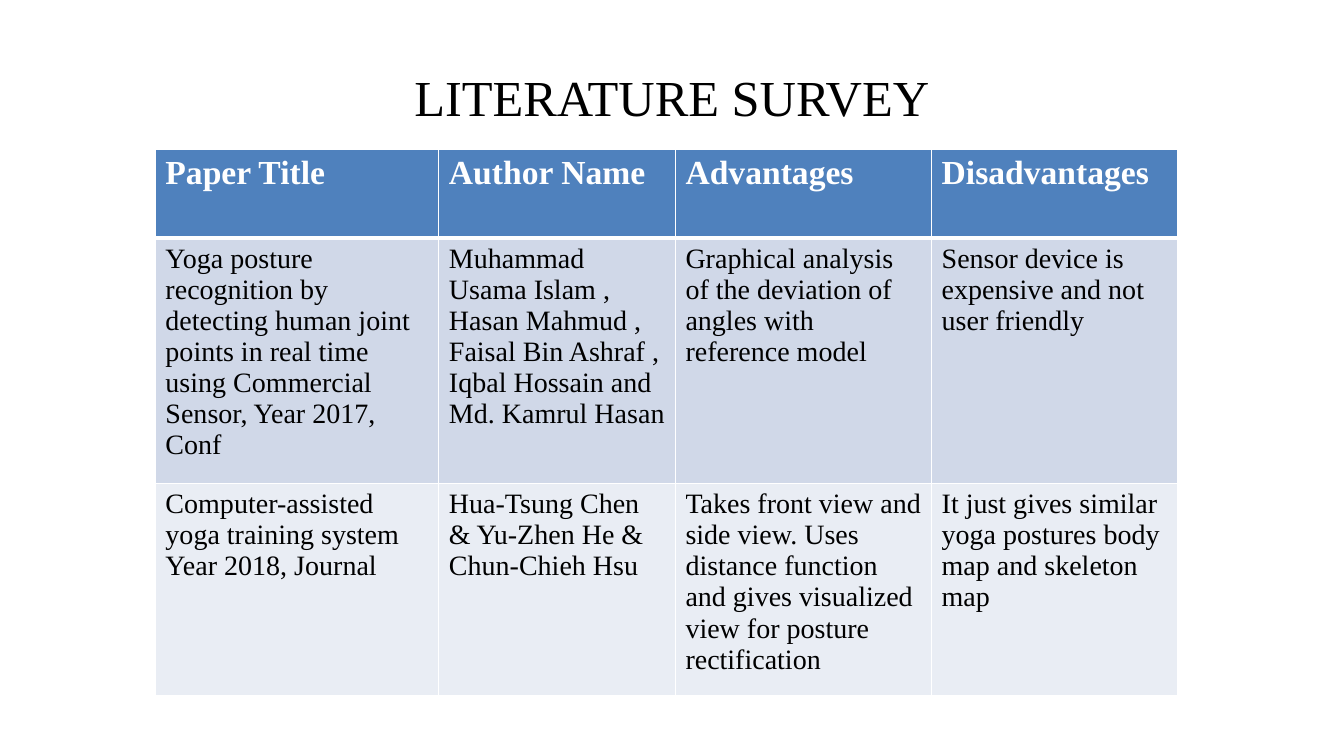
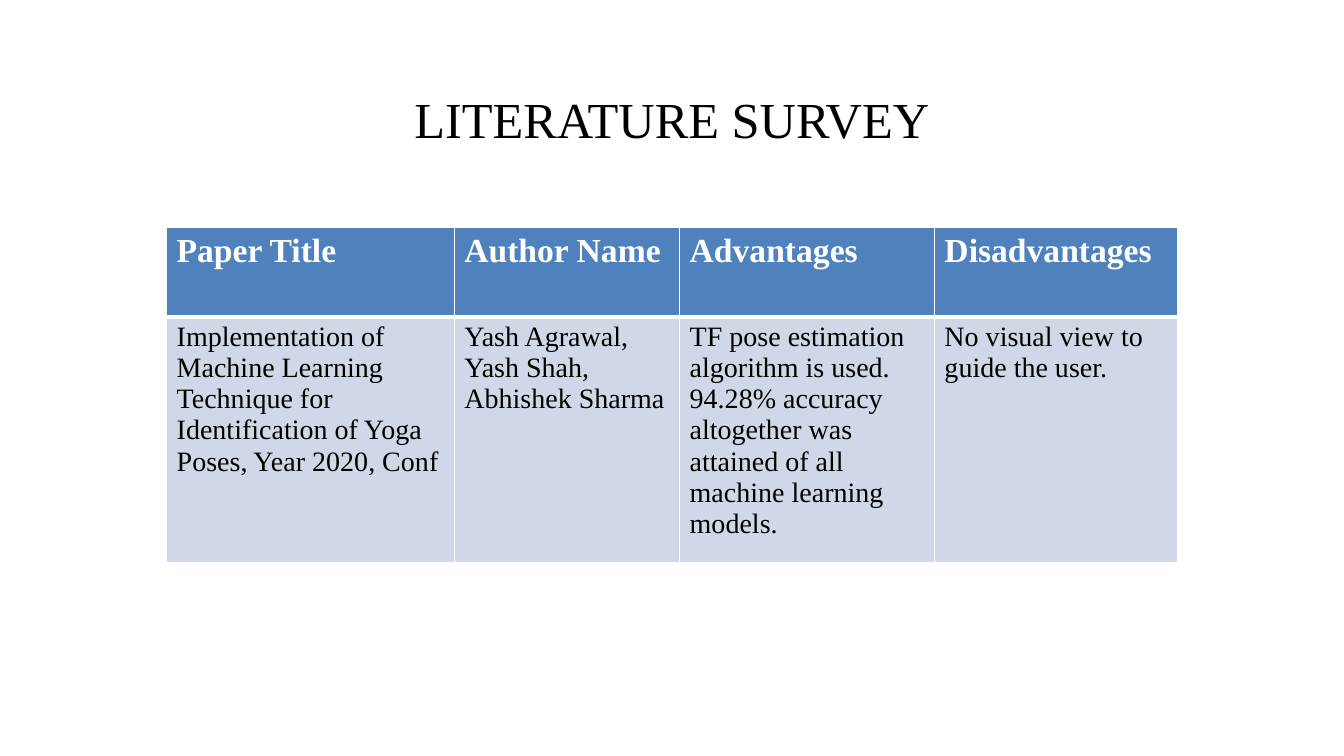
from lxml import etree
from pptx import Presentation
from pptx.dml.color import RGBColor
from pptx.enum import text
from pptx.oxml import ns
from pptx.util import Pt

COLORS = {
    "paper": "FFFFFF",
    "ink": "000000",
    "header": "4F81BD",
    "odd_row": "D0D8E8",
    "even_row": "E9EDF4",
}
FONT = "Times New Roman"
TITLE = "LITERATURE SURVEY"
HEADINGS = ["Paper Title", "Author Name", "Advantages", "Disadvantages"]
HEADER_HEIGHT = 63.5

SURVEYS = [
    {
        "title_top": 43.6,
        "title_height": 50.4,
        "left": 111,
        "top": 106.7,
        "columns": [202.5, 169, 183, 175.5],
        "heights": [175, 151.5],
        "papers": [
            [
                "Yoga posture recognition by detecting human joint points in real time "
                "using Commercial Sensor, Year 2017, Conf",
                "Muhammad Usama Islam , Hasan Mahmud , Faisal Bin Ashraf , "
                "Iqbal Hossain and Md. Kamrul Hasan",
                "Graphical analysis of the deviation of angles with reference model",
                "Sensor device is expensive and not user friendly",
            ],
            [
                "Computer-assisted yoga training system Year 2018, Journal",
                "Hua-Tsung Chen & Yu-Zhen He & Chun-Chieh Hsu",
                "Takes front view and side view. Uses distance function and gives "
                "visualized view for posture rectification",
                "It just gives similar yoga postures body map and skeleton map",
            ],
        ],
    },
    {
        "title_top": 52.6,
        "title_height": 63.4,
        "left": 119,
        "top": 162.7,
        "columns": [205.5, 161, 182, 174],
        "heights": [164],
        "papers": [
            [
                "Implementation of Machine Learning Technique for Identification of "
                "Yoga Poses, Year 2020, Conf",
                "Yash Agrawal, Yash Shah, Abhishek Sharma",
                "TF pose estimation algorithm is used. 94.28% accuracy altogether was "
                "attained of all machine learning models.",
                "No visual view to guide the user.",
            ],
        ],
    },
]


def style_text(frame, size, color, bold=False):
    for para in frame.paragraphs:
        for span in para.runs:
            span.font.name = FONT
            span.font.size = Pt(size)
            span.font.bold = bold
            span.font.color.rgb = RGBColor.from_string(COLORS[color])


def set_borders(cell, top, bottom):
    properties = cell._tc.get_or_add_tcPr()
    sides = {"lnL": 1, "lnR": 1, "lnT": top, "lnB": bottom}
    for position, (side, width) in enumerate(sides.items()):
        line = etree.Element(ns.qn("a:" + side), w=str(Pt(width)))
        fill = etree.SubElement(line, ns.qn("a:solidFill"))
        etree.SubElement(fill, ns.qn("a:srgbClr"), val=COLORS["paper"])
        properties.insert(position, line)


deck = Presentation()
deck.slide_width = Pt(960)
deck.slide_height = Pt(540)

for survey in SURVEYS:
    page = deck.slides.add_slide(deck.slide_layouts[6])
    page.background.fill.solid()
    page.background.fill.fore_color.rgb = RGBColor.from_string(COLORS["paper"])

    box = page.shapes.add_textbox(
        Pt(120), Pt(survey["title_top"]), Pt(720), Pt(survey["title_height"])
    )
    frame = box.text_frame
    frame.word_wrap = True
    frame.vertical_anchor = text.MSO_ANCHOR.MIDDLE
    frame.text = TITLE
    frame.paragraphs[0].alignment = text.PP_ALIGN.CENTER
    style_text(frame, 36, "ink")

    rows = [HEADINGS] + survey["papers"]
    heights = [HEADER_HEIGHT] + survey["heights"]
    table = page.shapes.add_table(
        len(rows), len(HEADINGS), Pt(survey["left"]), Pt(survey["top"]),
        Pt(sum(survey["columns"])), Pt(sum(heights)),
    ).table
    for column, width in zip(table.columns, survey["columns"]):
        column.width = Pt(width)

    for index, (row, height, entries) in enumerate(zip(table.rows, heights, rows)):
        row.height = Pt(height)
        is_header = index == 0
        band = "header" if is_header else "odd_row" if index % 2 else "even_row"
        for cell, entry in zip(row.cells, entries):
            cell.text_frame.text = entry
            cell.fill.solid()
            cell.fill.fore_color.rgb = RGBColor.from_string(COLORS[band])
            set_borders(cell, 3 if index == 1 else 1, 3 if is_header else 1)
            if is_header:
                style_text(cell.text_frame, 24, "paper", True)
            else:
                style_text(cell.text_frame, 20, "ink")

deck.save("out.pptx")
